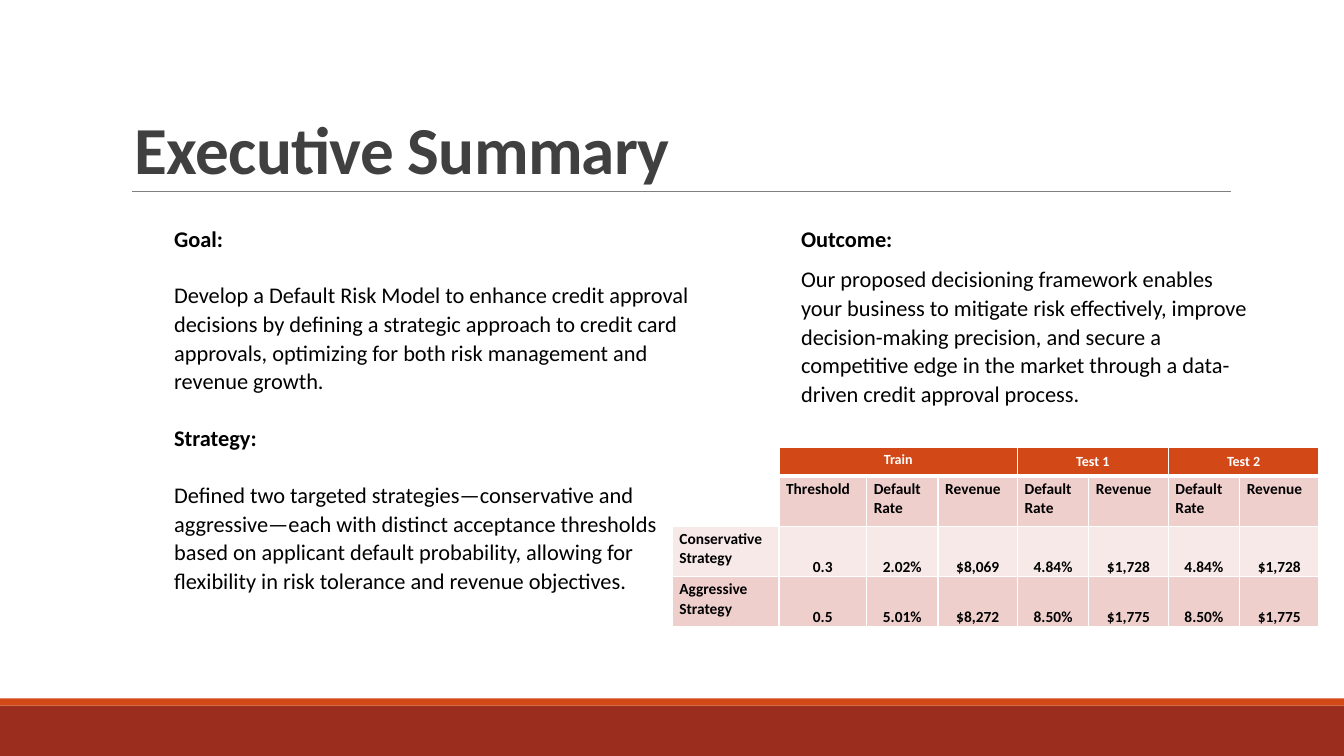
from dataclasses import dataclass
from typing import Optional

from lxml import etree
from pptx import Presentation
from pptx.dml.color import RGBColor
from pptx.enum.shapes import MSO_CONNECTOR, MSO_SHAPE
from pptx.enum.text import MSO_ANCHOR, PP_ALIGN
from pptx.oxml.ns import qn
from pptx.util import Cm, Pt

RECTANGLE = MSO_SHAPE.RECTANGLE
STRAIGHT = MSO_CONNECTOR.STRAIGHT
LEFT, CENTER = PP_ALIGN.LEFT, PP_ALIGN.CENTER
TOP, BOTTOM = MSO_ANCHOR.TOP, MSO_ANCHOR.BOTTOM


@dataclass(frozen=True)
class Theme:
    font: str = "Calibri"
    white: str = "FFFFFF"
    ink: str = "000000"
    title: str = "404040"
    rule: str = "808080"
    accent: str = "D34817"
    footer: str = "9B2D1F"
    band_dark: str = "EFCFCC"
    band_light: str = "F7E9E8"
    title_size: float = 48
    body_size: float = 16
    table_size: float = 11
    group_size: float = 10


@dataclass(frozen=True)
class Box:
    left: float
    top: float
    width: float
    height: float

    def lengths(self) -> tuple:
        return Cm(self.left), Cm(self.top), Cm(self.width), Cm(self.height)


@dataclass(frozen=True)
class Section:
    heading: str
    body: str


@dataclass(frozen=True)
class Group:
    name: str
    column: int
    span: int
    style: "CellStyle"


@dataclass(frozen=True)
class CellStyle:
    size: float
    color: str
    align: PP_ALIGN
    anchor: MSO_ANCHOR
    insets: tuple  # left, top, right, bottom


THEME = Theme()
LABEL_INSETS = (0.18, 0.09, 0.18, 0.09)
TRAIN = CellStyle(THEME.group_size, THEME.white, CENTER, TOP, LABEL_INSETS)
TEST = CellStyle(THEME.group_size, THEME.white, CENTER, TOP, (0.25, 0.13, 0.25, 0.13))
LABEL = CellStyle(THEME.table_size, THEME.ink, LEFT, TOP, LABEL_INSETS)
VALUE = CellStyle(THEME.table_size, THEME.ink, CENTER, BOTTOM, (0.03, 0.03, 0.03, 0))

GROUPS = [Group("Train", 1, 3, TRAIN), Group("Test 1", 4, 2, TEST), Group("Test 2", 6, 2, TEST)]
METRICS = ["Default Rate", "Revenue"]
HEADINGS = ["", "Threshold"] + METRICS * len(GROUPS)
STRATEGIES = [
    ["Conservative Strategy", "0.3", "2.02%", "$8,069", "4.84%", "$1,728", "4.84%", "$1,728"],
    ["Aggressive Strategy", "0.5", "5.01%", "$8,272", "8.50%", "$1,775", "8.50%", "$1,775"],
]
BANDS = [THEME.band_dark, THEME.band_light, THEME.band_dark]
COLUMN_WIDTHS = [2.69, 2.21] + [1.8, 2.0] * len(GROUPS)
ROW_HEIGHTS = [0.71] + [1.27] * 3

GOAL_AND_STRATEGY = [
    Section("Goal:", "Develop a Default Risk Model to enhance credit approval decisions by "
            "defining a strategic approach to credit card approvals, optimizing for both "
            "risk management and revenue growth."),
    Section("Strategy:", "Defined two targeted strategies—conservative and aggressive—each "
            "with distinct acceptance thresholds based on applicant default probability, "
            "allowing for flexibility in risk tolerance and revenue objectives."),
]
OUTCOME = [
    Section("Outcome:", "Our proposed decisioning framework enables your business to mitigate "
            "risk effectively, improve decision-making precision, and secure a competitive "
            "edge in the market through a data-driven credit approval process."),
]


def rgb(color: str) -> RGBColor:
    return RGBColor.from_string(color)


def add_run(paragraph, text: str, size: float, color: str, bold: bool = True):
    run = paragraph.add_run()
    run.text = text
    run.font.name = THEME.font
    run.font.size = Pt(size)
    run.font.bold = bold
    run.font.color.rgb = rgb(color)
    return run


def add_bar(slide, box: Box, color: str) -> None:
    bar = slide.shapes.add_shape(RECTANGLE, *box.lengths())
    bar.shadow.inherit = False
    bar.fill.solid()
    bar.fill.fore_color.rgb = rgb(color)
    bar.line.fill.background()


def add_title_rule(slide) -> None:
    rule = slide.shapes.add_connector(STRAIGHT, Cm(3.33), Cm(4.83), Cm(31.01), Cm(4.83))
    rule.line.color.rgb = rgb(THEME.rule)
    rule.line.width = Pt(0.5)
    etree.SubElement(rule._element.spPr, qn("a:effectLst"))


def add_title(slide, text: str) -> None:
    frame = slide.shapes.add_textbox(*Box(3.15, 1.7, 26.09, 3.18).lengths()).text_frame
    frame.word_wrap = True
    frame.vertical_anchor = BOTTOM
    paragraph = frame.paragraphs[0]
    paragraph.line_spacing = 0.85
    run = add_run(paragraph, text, THEME.title_size, THEME.title)
    run.font._element.set("spc", "-50")


def add_sections(slide, box: Box, sections: list[Section], side_inset: float,
                 space_before: float) -> None:
    frame = slide.shapes.add_textbox(*box.lengths()).text_frame
    frame.word_wrap = True
    frame.margin_left = frame.margin_right = Cm(side_inset)
    lines = [(text, bold) for section in sections
             for text, bold in ((section.heading, True), (section.body, False))]
    for index, (text, bold) in enumerate(lines):
        paragraph = frame.add_paragraph() if index else frame.paragraphs[0]
        paragraph._p.get_or_add_pPr().set("marL", str(Cm(1.27)))
        paragraph.line_spacing = 1.07
        paragraph.space_before = Pt(space_before if index else 0)
        paragraph.space_after = Pt(8)
        add_run(paragraph, text, THEME.body_size, THEME.ink, bold)


def set_borders(cell, top: float, bottom: float) -> None:
    properties = cell._tc.get_or_add_tcPr()
    for side, width in (("L", 1), ("R", 1), ("T", top), ("B", bottom)):
        border = etree.SubElement(properties, qn(f"a:ln{side}"), w=str(Pt(width)))
        fill = etree.SubElement(border, qn("a:solidFill"))
        etree.SubElement(fill, qn("a:srgbClr"), val=THEME.white)


def fill_cell(cell, text: str, style: CellStyle, color: Optional[str]) -> None:
    cell.margin_left, cell.margin_top, cell.margin_right, cell.margin_bottom = map(Cm, style.insets)
    cell.vertical_anchor = style.anchor
    if color:
        cell.fill.solid()
        cell.fill.fore_color.rgb = rgb(color)
    else:
        cell.fill.background()
    paragraph = cell.text_frame.paragraphs[0]
    paragraph.alignment = style.align
    if text:
        add_run(paragraph, text, style.size, style.color)
    else:
        etree.SubElement(paragraph._p, qn("a:endParaRPr"), sz=str(int(style.size * 100)))


def add_results_table(slide) -> None:
    box = Box(16.94, 11.28, sum(COLUMN_WIDTHS), sum(ROW_HEIGHTS))
    table = slide.shapes.add_table(len(ROW_HEIGHTS), len(COLUMN_WIDTHS), *box.lengths()).table
    table.first_row = table.horz_banding = False
    for column, width in zip(table.columns, COLUMN_WIDTHS):
        column.width = Cm(width)
    for index, (row, height) in enumerate(zip(table.rows, ROW_HEIGHTS)):
        row.height = Cm(height)
        for cell in row.cells:
            set_borders(cell, top=3 if index == 1 else 1, bottom=3 if index == 0 else 1)

    fill_cell(table.cell(0, 0), "", TRAIN, None)
    for group in GROUPS:
        last = group.column + group.span - 1
        for column in range(group.column, last + 1):
            name = group.name if column == group.column else ""
            fill_cell(table.cell(0, column), name, group.style, THEME.accent)
        table.cell(0, group.column).merge(table.cell(0, last))

    for row, (texts, band) in enumerate(zip([HEADINGS] + STRATEGIES, BANDS), start=1):
        for column, text in enumerate(texts):
            style = VALUE if row > 1 and column > 0 else LABEL
            fill_cell(table.cell(row, column), text, style, band if text else None)


def main() -> None:
    presentation = Presentation()
    presentation.slide_width, presentation.slide_height = Cm(33.87), Cm(19.05)
    slide = presentation.slides.add_slide(presentation.slide_layouts[6])
    add_bar(slide, Box(0, 17.78, 33.87, 1.27), THEME.footer)
    add_bar(slide, Box(0, 17.6, 33.87, 0.18), THEME.accent)
    add_title_rule(slide)
    add_title(slide, "Executive Summary")
    add_sections(slide, Box(3.12, 5.49, 14.3, 11.61), GOAL_AND_STRATEGY, 0, 12)
    add_sections(slide, Box(18.67, 5.51, 13.31, 5.99), OUTCOME, 0.25, 0)
    add_results_table(slide)
    presentation.save("out.pptx")


if __name__ == "__main__":
    main()
